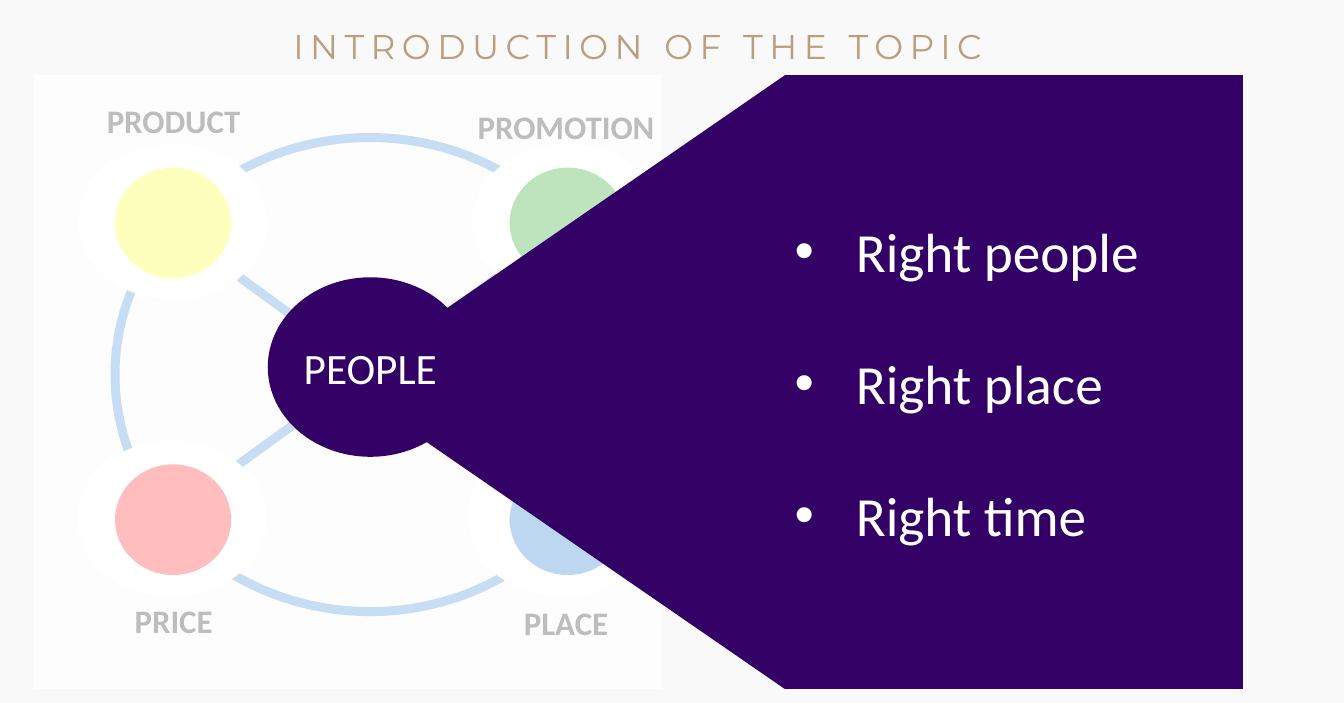
from dataclasses import dataclass
from lxml.etree import SubElement
from pptx import Presentation
from pptx.dml.color import RGBColor
from pptx.enum.shapes import MSO_CONNECTOR, MSO_SHAPE
from pptx.enum.text import MSO_ANCHOR, PP_ALIGN
from pptx.oxml.ns import qn
from pptx.util import Pt

PX = 9144  # 100 px to the inch


@dataclass(frozen=True)
class Theme:
    back: str = "F9F9F9"
    white: str = "FFFFFF"
    ink: str = "000000"
    gold: str = "BA9E7E"
    ring: str = "277ED4"
    deep: str = "330066"
    yellow: str = "FFFF00"
    green: str = "009900"
    red: str = "FF0000"
    blue: str = "0066CC"
    body: str = "Calibri"
    head: str = "Montserrat"
    label: int = 22
    title: int = 23
    hub: int = 29
    point: int = 37
    stroke: int = 6


THEME = Theme()


def emu(*sizes):
    return [round(size * PX) for size in sizes]


def draw(slide, kind, box, fill=None, line=None):
    shape = slide.shapes.add_shape(kind, *emu(*box))
    shape.shadow.inherit = False
    if fill:
        shape.fill.solid()
        shape.fill.fore_color.rgb = RGBColor.from_string(fill)
    else:
        shape.fill.background()
    if line:
        shape.line.color.rgb = RGBColor.from_string(line)
        shape.line.width = Pt(THEME.stroke)
    else:
        shape.line.fill.background()
    return shape


def link(slide, start, end):
    line = slide.shapes.add_connector(MSO_CONNECTOR.STRAIGHT, *emu(*start, *end))
    line.line.color.rgb = RGBColor.from_string(THEME.ring)
    line.line.width = Pt(THEME.stroke)
    SubElement(line._element.spPr, qn("a:effectLst"))


def write(shape, lines, size, color, font=THEME.body, bold=False,
          align=PP_ALIGN.CENTER, anchor=MSO_ANCHOR.MIDDLE, inset=(9, 5)):
    """Fill a shape with one paragraph per line; return the paragraphs."""
    frame = shape.text_frame
    side, top = emu(*inset)
    layout = {"word_wrap": True, "vertical_anchor": anchor,
              "margin_left": side, "margin_right": side,
              "margin_top": top, "margin_bottom": top}
    for name, value in layout.items():
        setattr(frame, name, value)
    frame.text = "\n".join(lines)
    style = {"size": Pt(size), "name": font, "bold": bold}
    for para in frame.paragraphs:
        para.alignment = align
        for run in para.runs:
            for name, value in style.items():
                setattr(run.font, name, value)
            run.font.color.rgb = RGBColor.from_string(color)
    return frame.paragraphs


def add_title(slide, box):
    para, = write(slide.shapes.add_textbox(*emu(*box)),
                  ["INTRODUCTION OF THE TOPIC"], THEME.title, THEME.gold,
                  font=THEME.head, align=PP_ALIGN.LEFT,
                  anchor=MSO_ANCHOR.TOP, inset=(0, 2))
    para.runs[0].font._element.set("spc", "430")


def add_wheel(slide, box):
    """Four discs on a ring, dimmed by a pale veil over the whole box."""
    left, top, width, height = box
    draw(slide, MSO_SHAPE.OVAL, (left + 76, top + 58, 474, 441), line=THEME.ring)
    for start, end in (((429, 361), (192, 188)), ((433, 187), (191, 362))):
        link(slide, (left + start[0], top + start[1]),
             (left + end[0], top + end[1]))
    # name, colour, disc x and y, halo x, label x, y and width
    discs = (
        ("PRICE", THEME.red, 76, 362, 41, 49, 484, 163),
        ("PRODUCT", THEME.yellow, 76, 86, 42, 49, 19, 163),
        ("PROMOTION", THEME.green, 443, 86, 408, 397, 24, 197),
        ("PLACE", THEME.blue, 443, 362, 404, 414, 486, 163),
    )
    for name, color, x, y, halo, tag_x, tag_y, wide in discs:
        draw(slide, MSO_SHAPE.OVAL, (left + halo, top + y - 22, 176, 145), THEME.white)
        draw(slide, MSO_SHAPE.OVAL, (left + x, top + y, 108, 103), color)
        tag = slide.shapes.add_textbox(*emu(left + tag_x, top + tag_y, wide, 47))
        write(tag, [name], THEME.label, THEME.ink, bold=True, anchor=MSO_ANCHOR.TOP)
    veil = draw(slide, MSO_SHAPE.RECTANGLE, box, THEME.white)
    tint = veil._element.spPr.find(qn("a:solidFill"))[0]
    SubElement(tint, qn("a:alpha")).set("val", "74000")


def add_focus(slide, box):
    """The hub, a beam widening to the right and the panel of points."""
    left, top, width, height = box
    panel = 426
    beam = 414
    mid = left + width - panel - beam / 2
    wedge = draw(slide, MSO_SHAPE.ISOSCELES_TRIANGLE,
                 (mid - height / 2, top + (height - beam) / 2, height, beam),
                 THEME.deep)
    wedge.rotation = 270
    hub = draw(slide, MSO_SHAPE.OVAL, (left, top + 188, 191, 167), THEME.deep)
    write(hub, ["PEOPLE"], THEME.hub, THEME.white, inset=(0, 5))
    card = draw(slide, MSO_SHAPE.RECTANGLE,
                (left + width - panel, top, panel, height), THEME.deep)
    points = write(card, ["Right people", "Right place", "Right time"],
                   THEME.point, THEME.white, align=PP_ALIGN.LEFT)
    indent, = emu(57)
    for index, para in enumerate(points):
        if index:
            para.space_before = Pt(44)
        props = para._p.get_or_add_pPr()
        props.set("marL", str(indent))
        props.set("indent", str(-indent))
        SubElement(props, qn("a:buFont")).set("typeface", "Arial")
        SubElement(props, qn("a:buChar")).set("char", "•")


def main():
    deck = Presentation()
    deck.slide_width, deck.slide_height = emu(1250, 654)
    slide = deck.slides.add_slide(deck.slide_layouts[6])
    slide.background.fill.solid()
    slide.background.fill.fore_color.rgb = RGBColor.from_string(THEME.back)
    add_wheel(slide, (31, 70, 584, 571))
    add_focus(slide, (249, 70, 907, 571))
    add_title(slide, (273, 21, 763, 48))
    deck.save("out.pptx")


if __name__ == "__main__":
    main()
